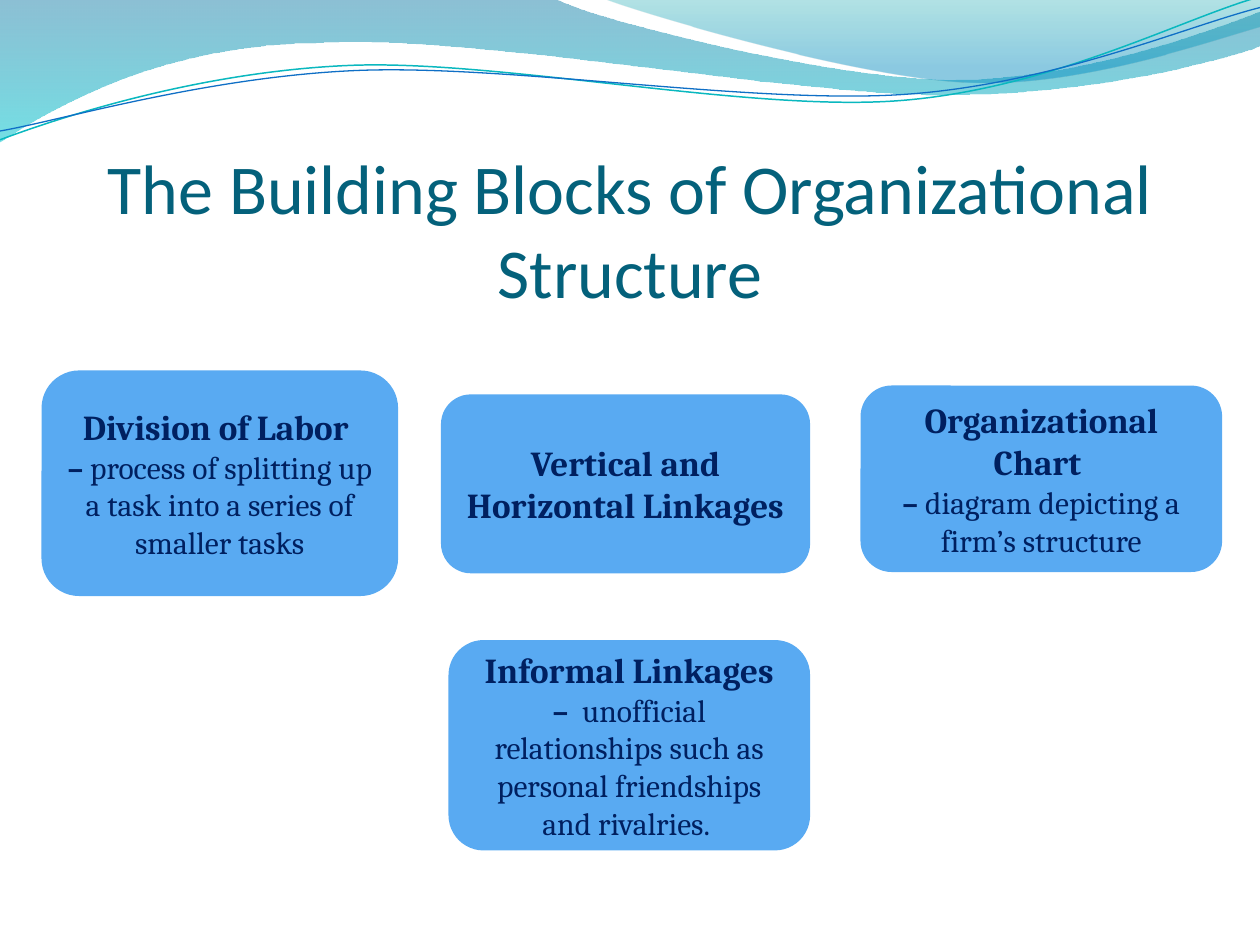
"""Build the slide on the building blocks of organizational structure."""
from pptx import Presentation
from pptx.dml.color import RGBColor as RGB
from pptx.enum.shapes import MSO_SHAPE as SHAPE
from pptx.enum.text import MSO_ANCHOR as ANCHOR, PP_ALIGN as ALIGN
from pptx.oxml.ns import qn
from pptx.util import Inches, Pt
from lxml.etree import SubElement

TEAL_TEXT = RGB(0x04, 0x61, 0x7B)
NAVY = RGB(0x00, 0x20, 0x60)
BOX_BLUE = RGB(0x59, 0xAA, 0xF2)
DEEP_TEAL = RGB(0x00, 0x74, 0xA1)
AQUA = RGB(0x00, 0xC6, 0xCF)
SEA = RGB(0x00, 0xA1, 0xA9)
SKY = RGB(0x00, 0x8B, 0xBF)
LINE_TEAL = RGB(0x0A, 0xB8, 0xBF)
LINE_BLUE = RGB(0x0F, 0x6F, 0xC6)

WIDTH, HEIGHT = 10, 7.5
TITLE = "The Building Blocks of Organizational Structure"

BLOCKS = [
    ((0.33, 2.94, 2.83, 1.79), "Division of Labor ",
     "process of splitting up a task into a series of smaller tasks"),
    ((3.56, 5.08, 2.87, 1.67), "Informal Linkages",
     " unofficial relationships such as personal friendships and rivalries. "),
    ((6.83, 3.06, 2.87, 1.48), "Organizational Chart ",
     "diagram depicting a firm’s structure"),
    ((3.5, 3.13, 2.93, 1.42), "Vertical and Horizontal Linkages", None),
]

WAVES = [
    ([(0, -0.01), (4.4, -0.01),
      (4.76, 0.17, 6.64, 0.63, 7.58, 0.63), (8.53, 0.63, 9.58, 0.26, 10, 0.09),
      (10.01, 0.36), (9.83, 0.44, 8.7, 0.76, 7.46, 0.75),
      (6.22, 0.75, 3.82, 0.28, 2.57, 0.34), (1.29, 0.35, 0.46, 0.83, -0.01, 1.13)],
     [(0, DEEP_TEAL, 45), (1, AQUA, 55)]),
    ([(4.79, -0.01), (5.09, 0.11, 6.82, 0.62, 7.69, 0.65),
      (8.56, 0.69, 9.61, 0.32, 10, 0.21), (10, 0)],
     [(0, SEA, 30), (0.8, SKY, 45)]),
]

RIBBONS = [
    ([(0, 1.11), (0.48, 0.93, 1.58, 0.57, 2.77, 0.52),
      (3.95, 0.47, 5.93, 0.89, 7.13, 0.8), (8.33, 0.71, 9.38, 0.15, 9.98, -0.02)],
     LINE_TEAL, 0.85),
    ([(0, 1.04), (0.47, 0.96, 1.64, 0.61, 2.83, 0.56),
      (4.03, 0.51, 5.97, 0.83, 7.17, 0.75), (8.36, 0.67, 9.41, 0.21, 10, 0.06)],
     LINE_BLUE, 0.75),
]


def add_outline(slide, segments, close):
    start, *rest = [tuple(map(Inches, seg)) for seg in segments]
    builder = slide.shapes.build_freeform(*start)
    builder.add_line_segments([seg[-2:] for seg in rest], close=close)
    sp = builder.convert_to_shape()
    sp.shadow.inherit = False
    for seg, step in zip(rest, list(sp.element.iter(qn("a:lnTo")))):
        if len(seg) == 6:
            step.tag = qn("a:cubicBezTo")
            step.remove(step[0])
            for x, y in zip(seg[::2], seg[1::2]):
                pt = SubElement(step, qn("a:pt"))
                pt.set("x", str(x - sp.left))
                pt.set("y", str(y - sp.top))
    return sp


def add_wave(slide, segments, stops):
    sp = add_outline(slide, segments, True)
    sp.line.fill.background()
    sp.fill.gradient()
    sp.fill.gradient_angle = 270
    for stop, (position, color, _) in zip(sp.fill.gradient_stops, stops):
        stop.position, stop.color.rgb = position, color
    for clr, (_, _, opacity) in zip(sp.element.iter(qn("a:srgbClr")), stops):
        SubElement(clr, qn("a:alpha")).set("val", str(opacity * 1000))


def add_ribbon(slide, segments, color, width):
    sp = add_outline(slide, segments, False)
    sp.fill.background()
    sp.line.color.rgb, sp.line.width = color, Pt(width)


def add_run(p, text, size, font, color, bold=False):
    p.alignment = ALIGN.CENTER
    r = p.add_run()
    r.text = text
    r.font.size, r.font.name, r.font.bold = Pt(size), font, bold
    r.font.color.rgb = color


def add_title(slide):
    tf = slide.shapes.add_textbox(*map(Inches, (0.5, 1.23, WIDTH - 1, 1.25))).text_frame
    tf.word_wrap, tf.vertical_anchor = True, ANCHOR.BOTTOM
    tf.margin_left = tf.margin_right = tf.margin_bottom = 0
    add_run(tf.paragraphs[0], TITLE, 40, "Calibri", TEAL_TEXT)


def add_block(slide, box, heading, detail):
    sp = slide.shapes.add_shape(SHAPE.ROUNDED_RECTANGLE, *map(Inches, box))
    sp.shadow.inherit = False
    sp.fill.solid()
    sp.fill.fore_color.rgb = BOX_BLUE
    sp.line.fill.background()
    tf = sp.text_frame
    tf.word_wrap, tf.vertical_anchor = True, ANCHOR.MIDDLE
    add_run(tf.paragraphs[0], heading, 20, "Cambria", NAVY, True)
    if detail:
        p = tf.add_paragraph()
        add_run(p, "– ", 18, "Cambria", NAVY, True)
        add_run(p, detail, 18, "Cambria", NAVY)


def main():
    prs = Presentation()
    prs.slide_width, prs.slide_height = Inches(WIDTH), Inches(HEIGHT)
    slide = prs.slides.add_slide(prs.slide_layouts[6])
    for wave in WAVES:
        add_wave(slide, *wave)
    for ribbon in RIBBONS:
        add_ribbon(slide, *ribbon)
    add_title(slide)
    for block in BLOCKS:
        add_block(slide, *block)
    prs.save("out.pptx")


if __name__ == "__main__":
    main()
